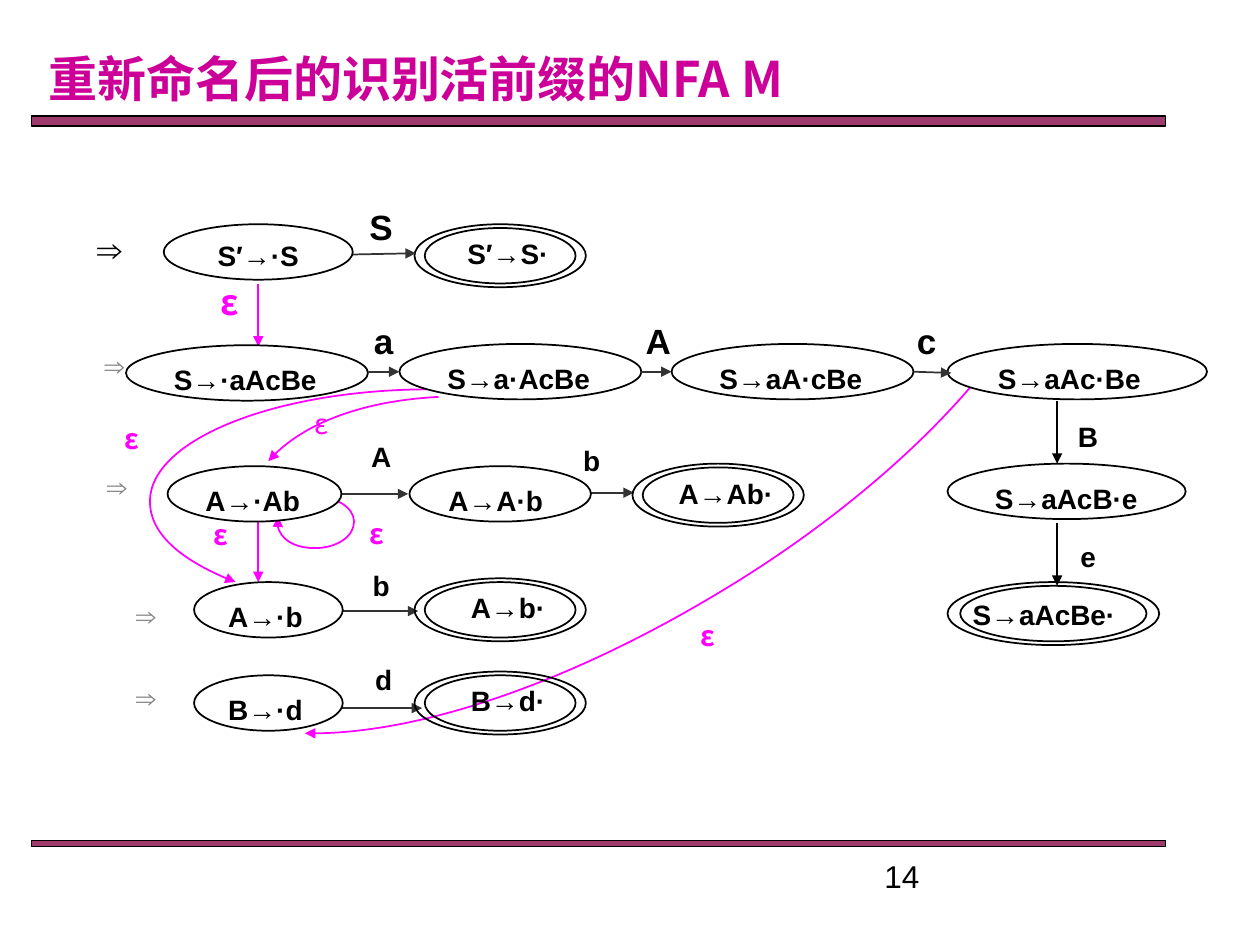
"""Build the slide with the renamed NFA that recognises viable prefixes."""
from lxml import etree
from pptx import Presentation
from pptx import util as u
from pptx.dml.color import RGBColor
from pptx.enum import shapes, text
from pptx.oxml.ns import qn

COLORS = {"bar": "993366", "title": "CC0099", "epsilon": "FF00FF", "black": "000000",
          "edge": "333333", "gray": "808080", "white": "FFFFFF"}
CJK = "Noto Sans CJK SC"
CENTER, JUSTIFY, RIGHT = text.PP_ALIGN.CENTER, text.PP_ALIGN.JUSTIFY, text.PP_ALIGN.RIGHT
STATE_HEIGHT, ACCEPT_HEIGHT = 0.44, 0.5

BARS = [(0.92, 0.08), (6.67, 0.05)]
CURVES = [
    ("headEnd", [(2.42, 5.82), (3.28, 5.84), (4.51, 5.42), (5.68, 4.72),
                 (6.54, 4.21), (7.29, 3.58), (7.78, 2.98)]),
    ("tailEnd", [(3.42, 3.09), (2.19, 3.09), (1.19, 3.49), (1.19, 3.98),
                 (1.19, 4.22), (1.43, 4.45), (1.87, 4.62)]),
    ("tailEnd", [(3.48, 3.15), (2.9, 3.18), (2.38, 3.37), (2.13, 3.66)]),
    ("tailEnd", [(2.3, 3.99), (2.35, 3.96), (2.43, 3.94), (2.5, 3.94),
                 (2.67, 3.94), (2.81, 4.03), (2.81, 4.14),
                 (2.81, 4.26), (2.67, 4.35), (2.5, 4.35),
                 (2.33, 4.35), (2.2, 4.26), (2.2, 4.14),
                 (2.2, 4.13), (2.2, 4.11), (2.21, 4.1)]),
]
STATES = [
    ("S′→·S", 1.3, 1.78, 1.5, CENTER),
    ("S→·aAcBe", 1, 2.74, 1.92, JUSTIFY),
    ("S→a·AcBe", 3.17, 2.73, 1.92, JUSTIFY),
    ("S→aA·cBe", 5.33, 2.73, 1.92, JUSTIFY),
    ("S→aAc·Be", 7.52, 2.73, 2.06, JUSTIFY),
    ("S→aAcB·e", 7.52, 3.68, 1.89, JUSTIFY),
    ("A→·Ab", 1.33, 3.7, 1.38, JUSTIFY),
    ("A→A·b", 3.25, 3.7, 1.44, JUSTIFY),
    ("A→·b", 1.54, 4.62, 1.18, JUSTIFY),
    ("B→·d", 1.54, 5.36, 1.18, JUSTIFY),
]
ACCEPT_STATES = [
    ("S′→S·", 3.29, 1.78, 1.36, CENTER),
    ("A→Ab·", 5.02, 3.68, 1.36, CENTER),
    ("A→b·", 3.29, 4.59, 1.36, CENTER),
    ("B→d·", 3.29, 5.33, 1.36, CENTER),
    ("S→aAcBe·", 7.52, 4.62, 1.68, JUSTIFY),
]
BACK_ARROWS = {
    "epsilon": [(2.05, 2.25, 2.05, 2.75), (2.05, 4.12, 2.05, 4.62)],
    "edge": [(2.35, 3.92, 3.24, 3.92), (4.14, 3.91, 5.03, 3.91),
             (2.43, 4.85, 3.32, 4.85), (2.45, 5.62, 3.35, 5.62)],
}
FRONT_ARROWS = {
    "edge": [(2.8, 2.02, 3.3, 2.01), (2.92, 2.95, 3.17, 2.95),
             (5.08, 2.95, 5.33, 2.95), (7.25, 2.95, 7.55, 2.96)],
    "black": [(8.39, 3.18, 8.39, 3.68), (8.39, 4.15, 8.39, 4.65)],
}
EDGE_LABELS = [
    ("S", 2.78, 1.58, 20), ("a", 2.8, 2.49, 20), ("A", 4.98, 2.49, 20), ("c", 7.11, 2.49, 20),
    ("A", 2.78, 3.44, 16), ("b", 4.45, 3.47, 16), ("b", 2.78, 4.46, 16), ("d", 2.8, 5.21, 16),
    ("B", 8.39, 3.28, 16), ("e", 8.39, 4.23, 16),
]
EPSILONS = [
    (1.65, 2.18, 0.49, 20, True, JUSTIFY), (5.46, 4.86, 0.49, 16, True, JUSTIFY),
    (0.89, 3.3, 0.56, 16, True, JUSTIFY), (2.4, 3.18, 0.56, 16, False, JUSTIFY),
    (2.59, 4.05, 0.56, 16, True, RIGHT), (1.6, 4.06, 0.56, 16, True, JUSTIFY),
]
START_MARKS = [
    (0.67, 1.76, 20, "black", True), (0.73, 2.72, 16, "gray", False),
    (0.75, 3.68, 16, "gray", False), (0.98, 4.7, 16, "gray", False),
    (0.98, 5.35, 16, "gray", False),
]


def rgb(name):
    return RGBColor.from_string(COLORS[name])


def write(shape, words, size, color="black", bold=True, align=CENTER, font="Arial", spacing=None):
    frame = shape.text_frame
    frame.word_wrap = True
    frame.vertical_anchor = text.MSO_ANCHOR.TOP
    frame.text = words
    para = frame.paragraphs[0]
    para.alignment = align
    para.line_spacing = spacing
    span = para.runs[0]
    span.font.size = u.Pt(size)
    span.font.bold = bold
    span.font.name = font
    span.font.color.rgb = rgb(color)
    if font == CJK:
        etree.SubElement(span.font._element, qn("a:ea"), typeface=font)


def add_label(page, words, left, top, width, height, size, **style):
    box = page.shapes.add_textbox(*map(u.Inches, (left, top, width, height)))
    write(box, words, size, **style)
    return box


def add_outline(page, kind, left, top, width, height, fill=None, weight=1):
    shape = page.shapes.add_shape(kind, *map(u.Inches, (left, top, width, height)))
    shape.shadow.inherit = False
    if fill:
        shape.fill.solid()
        shape.fill.fore_color.rgb = rgb(fill)
    else:
        shape.fill.background()
    shape.line.color.rgb = rgb("black")
    shape.line.width = u.Pt(weight)
    return shape


def style_arrow(shape, color, end="tailEnd"):
    shape.line.color.rgb = rgb(color)
    shape.line.width = u.Pt(1)
    properties = shape._element.spPr
    etree.SubElement(properties.find(qn("a:ln")), qn(f"a:{end}"), type="triangle")
    if properties.find(qn("a:effectLst")) is None:
        etree.SubElement(properties, qn("a:effectLst"))


def add_curve(page, end, knots):
    start, *others = [(u.Inches(x), u.Inches(y)) for x, y in knots]
    builder = page.shapes.build_freeform(*start)
    builder.add_line_segments(others, close=False)
    curve = builder.convert_to_shape()
    curve.shadow.inherit = False
    curve.fill.background()
    outline = next(curve._element.iter(qn("a:path")))
    segments = outline.findall(qn("a:lnTo"))
    for first in range(0, len(segments), 3):
        bend = etree.SubElement(outline, qn("a:cubicBezTo"))
        for segment in segments[first:first + 3]:
            bend.append(segment[0])
            outline.remove(segment)
    style_arrow(curve, "epsilon", end)


def add_arrows(page, arrows):
    for color, routes in arrows.items():
        for route in routes:
            arrow = page.shapes.add_connector(shapes.MSO_CONNECTOR.STRAIGHT, *map(u.Inches, route))
            style_arrow(arrow, color)


def add_state(page, words, left, top, width, align):
    state = add_outline(page, shapes.MSO_SHAPE.OVAL, left, top, width, STATE_HEIGHT, "white")
    write(state, words, 16, align=align, spacing=1.1 if align == JUSTIFY else None)


def add_accept_state(page, words, left, top, width, align):
    inset = 0.06 * width
    oval = shapes.MSO_SHAPE.OVAL
    add_outline(page, oval, left + inset, top + 0.03, width - 2 * inset, STATE_HEIGHT)
    add_outline(page, oval, left, top, width, ACCEPT_HEIGHT)
    add_label(page, words, left + inset, top + 0.05, width - 0.04, STATE_HEIGHT, 16,
              align=align, spacing=1.1 if align == JUSTIFY else None)


def main():
    deck = Presentation()
    deck.slide_width, deck.slide_height = u.Inches(10), u.Inches(7.5)
    page = deck.slides.add_slide(deck.slide_layouts[6])
    for top, height in BARS:
        bar = add_outline(page, shapes.MSO_SHAPE.RECTANGLE, 0.25, top, 9, height, "bar", 0.75)
        tint = bar._element.spPr.find(qn("a:solidFill"))[0]
        etree.SubElement(tint, qn("a:alpha"), val="96000")
    title = add_label(page, "重新命名后的识别活前缀的NFA M", 0.05, 0.24, 6.5, 0.67, 28,
                      color="title", font=CJK, spacing=1.2)
    title.text_frame.vertical_anchor = text.MSO_ANCHOR.MIDDLE
    for end, knots in CURVES:
        add_curve(page, end, knots)
    add_arrows(page, BACK_ARROWS)
    for state in STATES:
        add_state(page, *state)
    for state in ACCEPT_STATES:
        add_accept_state(page, *state)
    add_arrows(page, FRONT_ARROWS)
    for words, left, top, size in EDGE_LABELS:
        add_label(page, words, left, top, 0.49, 0.44, size)
    for left, top, width, size, bold, align in EPSILONS:
        add_label(page, "ε", left, top, width, 0.44, size,
                  color="epsilon", bold=bold, align=align, font=CJK)
    for left, top, size, color, bold in START_MARKS:
        add_label(page, "⇒", left, top, 0.65, 0.39, size, color=color, bold=bold, align=JUSTIFY)
    add_label(page, "14", 6.92, 6.75, 2.33, 0.27, 18, bold=False, align=text.PP_ALIGN.LEFT)
    deck.save("out.pptx")


if __name__ == "__main__":
    main()
